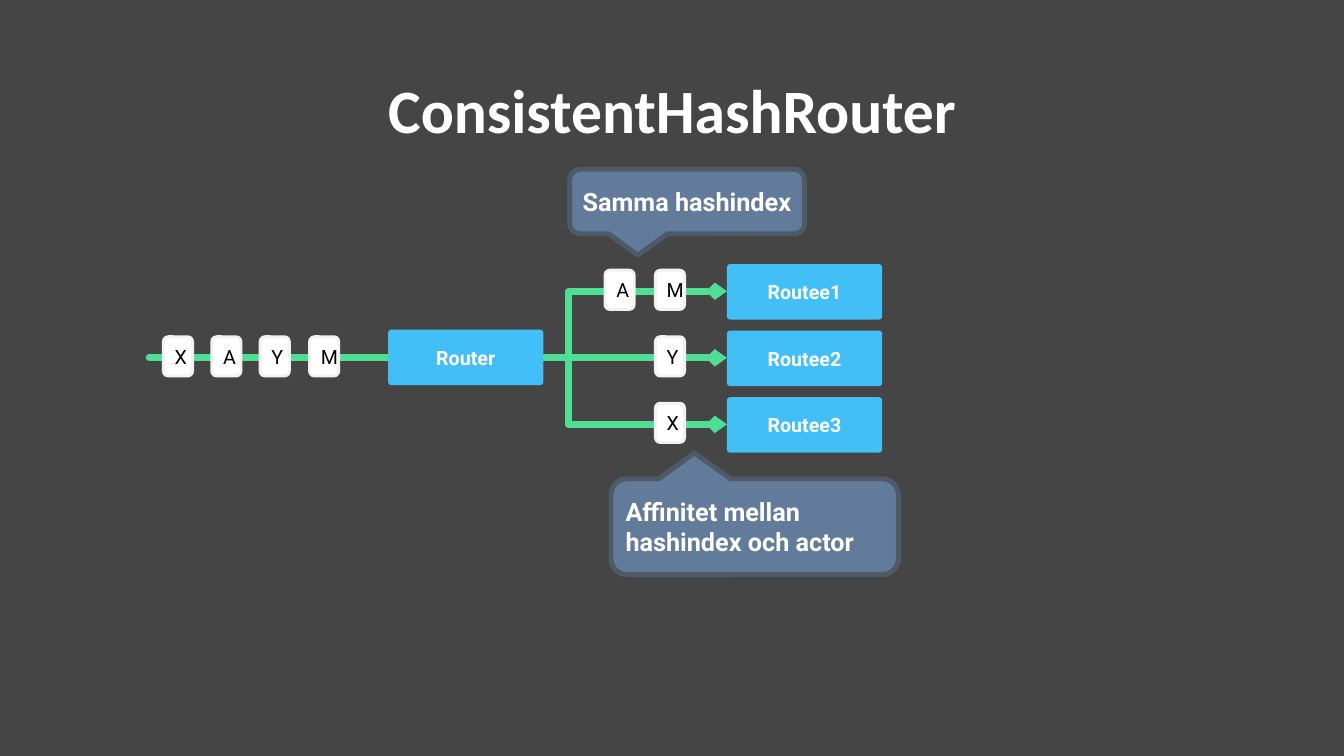
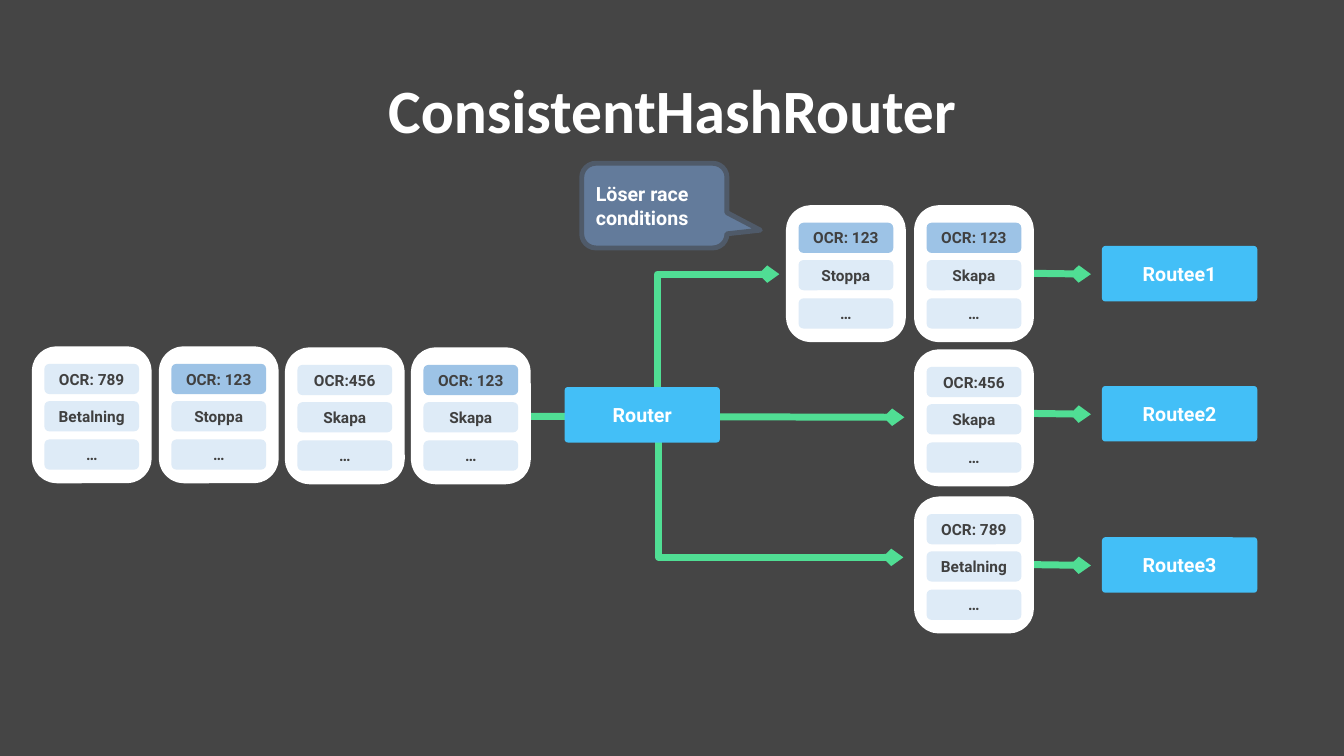
from lxml.etree import SubElement
from pptx import Presentation
from pptx.dml.color import RGBColor
from pptx.enum.shapes import MSO_CONNECTOR, MSO_SHAPE
from pptx.enum.text import MSO_ANCHOR, PP_ALIGN
from pptx.oxml.ns import qn
from pptx.util import Emu, Pt

EMU_PER_PX = 9144  # 100 px to the inch
TITLE_ONLY = 5

BACKGROUND = "454545"
WHITE = "FFFFFF"
BLACK = "000000"
GREEN = "50DE94"
BLUE = "43BFF7"
TOKEN_EDGE = "F2F2F2"
CALLOUT_FILL = "637B9B"
CALLOUT_EDGE = "4F5A69"
FIELD_FILL = "DEEBF7"
FIELD_HIGHLIGHT = "9DC3E6"
FIELD_TEXT = "404040"


def px(length):
    return Emu(length * EMU_PER_PX)


def colour(hex_string):
    return RGBColor.from_string(hex_string)


class Sketch:
    """Holds the shared style and the slide being drawn."""

    title_font = "Calibri"
    text_font = "Roboto"
    node_size = (154, 55)
    token_size = (29, 39)
    card_size = (104, 121)
    field_size = (94, 30)
    field_offsets = (10, 47, 85)

    def __init__(self):
        self.deck = Presentation()
        self.deck.slide_width, self.deck.slide_height = px(1333), px(750)
        fill = self.deck.slide_master.background.fill
        fill.solid()
        fill.fore_color.rgb = colour(BACKGROUND)
        self.slide = None

    def new_slide(self, title):
        self.slide = self.deck.slides.add_slide(self.deck.slide_layouts[TITLE_ONLY])
        box = self.slide.shapes.title
        box.left, box.top, box.width, box.height = map(px, (92, 40, 1150, 145))
        self.label(box, title, 44, WHITE, font=self.title_font)
        box.text_frame.paragraphs[0].line_spacing = 0.9

    def label(self, box, text, size, ink, bold=True, align=PP_ALIGN.CENTER, font=text_font):
        frame = box.text_frame
        frame.word_wrap = True
        frame.vertical_anchor = MSO_ANCHOR.MIDDLE
        para = frame.paragraphs[0]
        para.alignment = align
        span = para.add_run()
        span.text = text
        span.font.name = font
        span.font.size = Pt(size)
        span.font.bold = bold
        span.font.color.rgb = colour(ink)

    def shape(self, kind, place, fill, edge=None, edge_width=0, adjustments=()):
        box = self.slide.shapes.add_shape(kind, *map(px, place))
        box.shadow.inherit = False
        box.fill.solid()
        box.fill.fore_color.rgb = colour(fill)
        if edge:
            box.line.color.rgb = colour(edge)
            box.line.width = Pt(edge_width)
        else:
            box.line.fill.background()
        for index, value in enumerate(adjustments):
            box.adjustments[index] = value
        return box

    def rounded(self, left, top, size, *style, **more_style):
        return self.shape(MSO_SHAPE.ROUNDED_RECTANGLE, (left, top, *size), *style, **more_style)

    def node(self, left, top, text):
        box = self.rounded(left, top, self.node_size, BLUE, adjustments=[0.06])
        self.label(box, text, 14, WHITE)

    def token(self, left, top, letter):
        box = self.rounded(left, top, self.token_size, WHITE, TOKEN_EDGE, 2)
        self.label(box, letter, 14, BLACK, bold=False)

    def card(self, left, top, key, action):
        self.rounded(left, top, self.card_size, WHITE, WHITE, 10.75)
        for offset, text in zip(self.field_offsets, (key, action, "…")):
            fill = FIELD_HIGHLIGHT if text == "OCR: 123" else FIELD_FILL
            field = self.rounded(left + 5, top + offset, self.field_size, fill)
            self.label(field, text, 11, FIELD_TEXT)

    def callout(self, place, tip, text, size):
        box = self.shape(MSO_SHAPE.ROUNDED_RECTANGULAR_CALLOUT, place,
                         CALLOUT_FILL, CALLOUT_EDGE, 3.5, adjustments=tip)
        box.text_frame.margin_right = px(5)
        self.label(box, text, size, WHITE, align=PP_ALIGN.LEFT)

    def wire(self, start, end, bend=None, arrow=True):
        """Draw a green line; bend is the share of its width before the elbow."""
        kind = MSO_CONNECTOR.STRAIGHT if bend is None else MSO_CONNECTOR.ELBOW
        line = self.slide.shapes.add_connector(kind, *map(px, (*start, *end)))
        line.line.color.rgb = colour(GREEN)
        line.line.width = Pt(5)
        properties = line._element.spPr
        if bend is not None:
            guides = properties.find(qn("a:prstGeom")).get_or_add_avLst()
            SubElement(guides, qn("a:gd"), name="adj1", fmla=f"val {round(bend * 100000)}")
        stroke = properties.find(qn("a:ln"))
        stroke.set("cap", "rnd")
        SubElement(stroke, qn("a:round"))
        if arrow:
            SubElement(stroke, qn("a:tailEnd"), type="arrow", w="sm", len="sm")
        SubElement(properties, qn("a:effectLst"))


def draw_letters(sketch):
    sketch.new_slide("ConsistentHashRouter")
    fork, middle, row_gap = 539, 355, 66
    for row, bend in ((1, 0.135), (-1, 0.135), (0, None)):
        sketch.wire((fork, middle), (721, middle + row * row_gap), bend)
    sketch.wire((148, middle), (385, middle), arrow=False)
    for left, letter in zip((162, 210, 258, 307), "XAYM"):
        sketch.token(left, 334, letter)
    for row, letters in enumerate(("MA", "Y", "X")):
        for place, letter in enumerate(letters):
            sketch.token(650 - 50 * place, 268 + row * row_gap, letter)
        sketch.node(721, 262 + row * row_gap, f"Routee{row + 1}")
    sketch.node(385, 327, "Router")
    sketch.callout((565, 168, 233, 64), (-0.21, 0.83), "Samma hashindex", 18)
    sketch.callout((606, 475, 285, 95), (-0.21, -0.77),
                   "Affinitet mellan hashindex och actor", 18)


def draw_payments(sketch):
    sketch.new_slide("ConsistentHashRouter")
    for row, (top, wire_top) in enumerate(((244, 271), (383, 410), (533, 560)), 1):
        sketch.wire((1014, wire_top), (1082, wire_top + 1))
        sketch.node(1093, top, f"Routee{row}")
    source = (525, 413)
    sketch.wire(source, (897, 414))
    sketch.wire(source, (896, 553), 0.346)
    sketch.wire(source, (773, 272), 0.512)
    sketch.node(560, 384, "Router")
    cards = (
        (914, 500, "OCR: 789", "Betalning"),
        (914, 354, "OCR:456", "Skapa"),
        (914, 211, "OCR: 123", "Skapa"),
        (787, 211, "OCR: 123", "Stoppa"),
        (39, 351, "OCR: 789", "Betalning"),
        (165, 351, "OCR: 123", "Stoppa"),
        (290, 352, "OCR:456", "Skapa"),
        (415, 352, "OCR: 123", "Skapa"),
    )
    for card in cards:
        sketch.card(*card)
    sketch.callout((577, 162, 144, 84), (0.73, 0.29), "Löser race conditions", 14)


def main():
    sketch = Sketch()
    draw_letters(sketch)
    draw_payments(sketch)
    sketch.deck.save("out.pptx")


if __name__ == "__main__":
    main()
